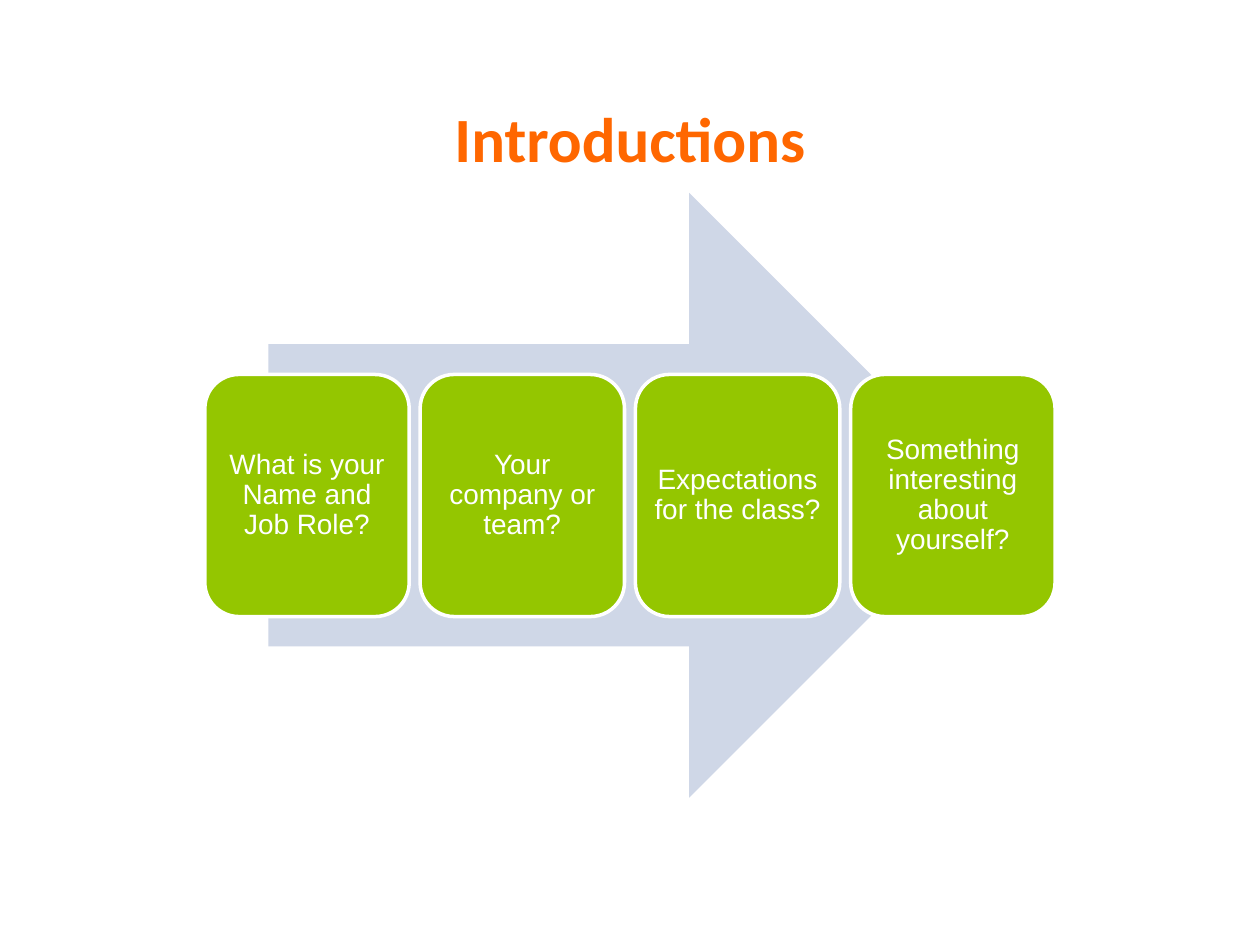
from pptx import Presentation
from pptx.dml.color import RGBColor
from pptx.enum.shapes import MSO_SHAPE
from pptx.enum.text import MSO_ANCHOR, PP_ALIGN
from pptx.util import Cm, Pt

COLORS = {"title": "FF6700", "arrow": "CFD7E7", "card": "94C600", "white": "FFFFFF"}
FONTS = {
    "title": {"name": "Calibri", "size": Pt(36), "bold": True},
    "card": {"name": "Arial", "size": Pt(16), "bold": False},
}
CARDS = [
    "What is your Name and Job Role?",
    "Your company or team?",
    "Expectations for the class?",
    "Something interesting about yourself?",
]


class Deck:
    """Holds the style and the current slide, and draws each kind of element."""

    def __init__(self, colors, fonts):
        self.colors, self.fonts = colors, fonts
        self.prs = Presentation()
        self.prs.slide_width, self.prs.slide_height = Cm(25.4), Cm(19.05)
        self.slide = self.prs.slides.add_slide(self.prs.slide_layouts[5])

    def color(self, name):
        return RGBColor.from_string(self.colors[name])

    def label(self, shape, text, font, color, pad_x, pad_y):
        frame = shape.text_frame
        frame.text = text
        layout = {
            "word_wrap": True,
            "vertical_anchor": MSO_ANCHOR.MIDDLE,
            "margin_left": Cm(pad_x),
            "margin_right": Cm(pad_x),
            "margin_top": Cm(pad_y),
            "margin_bottom": Cm(pad_y),
        }
        for key, value in layout.items():
            setattr(frame, key, value)
        para = frame.paragraphs[0]
        para.alignment, para.line_spacing = PP_ALIGN.CENTER, 0.9
        face = para.runs[0].font
        for key, value in self.fonts[font].items():
            setattr(face, key, value)
        face.color.rgb = self.color(color)

    def title(self, text, left, top, width, height):
        shape = self.slide.shapes.title
        box = {"left": left, "top": top, "width": width, "height": height}
        for key, value in box.items():
            setattr(shape, key, Cm(value))
        self.label(shape, text, "title", "title", 0.25, 0.13)

    def shape(self, kind, fill, *box):
        shape = self.slide.shapes.add_shape(kind, *map(Cm, box))
        shape.shadow.inherit = False
        shape.fill.solid()
        shape.fill.fore_color.rgb = self.color(fill)
        return shape

    def arrow(self, *box):
        shape = self.shape(MSO_SHAPE.RIGHT_ARROW, "arrow", *box)
        shape.line.fill.background()

    def card(self, text, *box):
        shape = self.shape(MSO_SHAPE.ROUNDED_RECTANGLE, "card", *box)
        shape.line.color.rgb = self.color("white")
        shape.line.width = Pt(2)
        self.label(shape, text, "card", "white", 0.18, 0.18)

    def save(self):
        self.prs.save("out.pptx")


def main():
    deck = Deck(COLORS, FONTS)
    deck.title("Introductions", 1.75, 1.02, 21.9, 3.68)
    deck.arrow(5.41, 3.89, 14.58, 12.19)
    for index, text in enumerate(CARDS):
        deck.card(text, 4.13 + index * 4.34, 7.55, 4.12, 4.88)
    deck.save()


if __name__ == "__main__":
    main()
